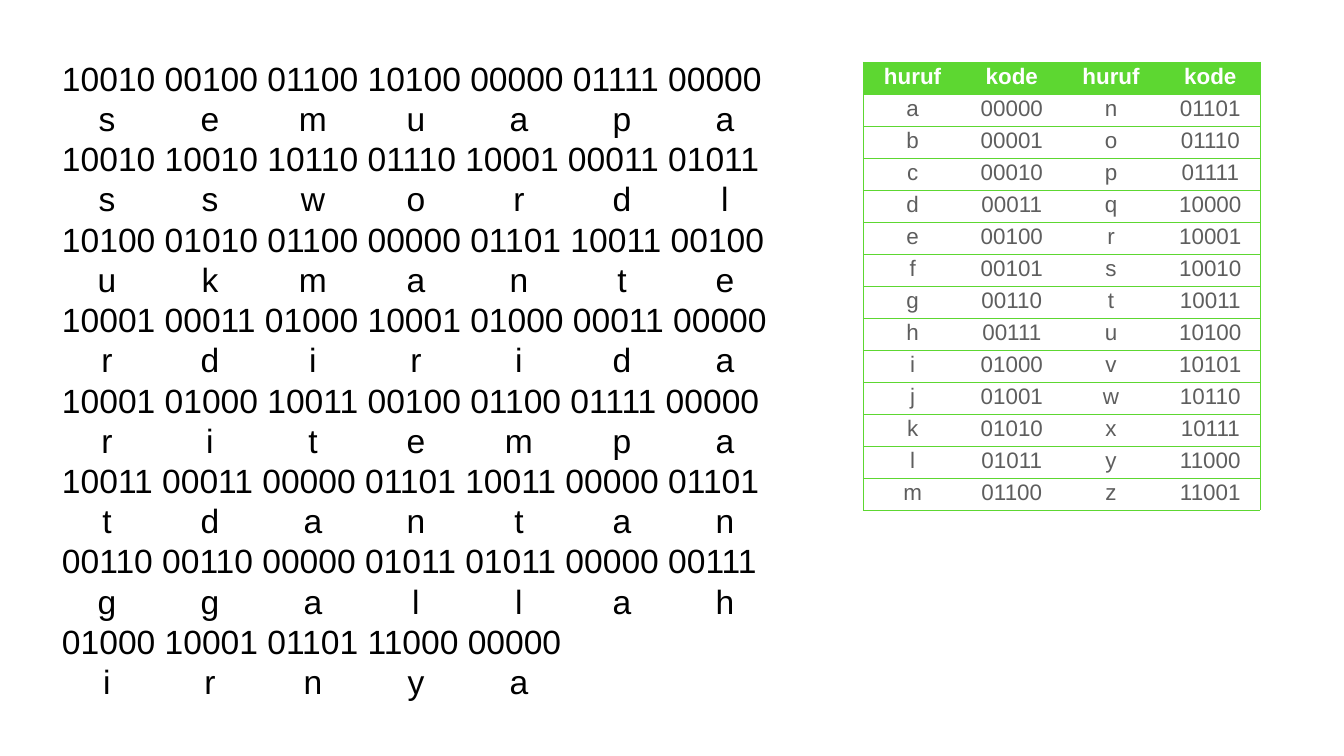
from lxml.etree import SubElement
from pptx import Presentation
from pptx.dml.color import RGBColor
from pptx.enum.text import MSO_ANCHOR, PP_ALIGN
from pptx.oxml.ns import qn
from pptx.util import Pt

PX = 914400 / 50.4
GREEN = "5DD731"
WHITE = "FFFFFF"
GREY = "5E5E5E"
BLACK = "000000"
ALPHABET = "abcdefghijklmnopqrstuvwxyz"
MESSAGE = ["semuapa", "sswordl", "ukmante", "rdirida",
           "ritempa", "tdantan", "ggallah", "irnya"]
LINE_PITCH = 57.5
FIRST_STOP = 45
STOP_PITCH = 103
ROW_HEIGHT = 32


def px(length):
    return round(length * PX)


def rgb(value):
    return RGBColor.from_string(value)


def code(letter):
    return format(ALPHABET.index(letter), "05b")


def add_text(paragraph, text, size, color, bold=False):
    run = paragraph.add_run()
    run.text = text
    run.font.name = "Arial"
    run.font.size = Pt(size)
    run.font.bold = bold
    run.font.color.rgb = rgb(color)


def set_centre_stops(paragraph, count):
    stops = SubElement(paragraph._p.get_or_add_pPr(), qn("a:tabLst"))
    for column in range(count):
        position = px(FIRST_STOP + column * STOP_PITCH)
        SubElement(stops, qn("a:tab"), pos=str(position), algn="ctr")


def add_decoded_message(slide, left, top, width, height):
    frame = slide.shapes.add_textbox(px(left), px(top), px(width), px(height)).text_frame
    frame.word_wrap = True
    frame.vertical_anchor = MSO_ANCHOR.MIDDLE
    frame.margin_left = frame.margin_right = frame.margin_bottom = px(3)
    frame.margin_top = px(7)
    lines = []
    for letters in MESSAGE:
        lines.append(" ".join(code(letter) for letter in letters))
        lines.append("".join("\t" + letter for letter in letters))
    for index, line in enumerate(lines):
        paragraph = frame.add_paragraph() if index else frame.paragraphs[0]
        paragraph.line_spacing = Pt(LINE_PITCH)
        if line.startswith("\t"):
            set_centre_stops(paragraph, line.count("\t"))
        add_text(paragraph, line, 48, BLACK)


def set_borders(cell, sides):
    properties = cell._tc.get_or_add_tcPr()
    for side in ("L", "R", "T", "B"):
        drawn = side in sides
        border = SubElement(properties, qn("a:ln" + side), w=str(Pt(0.75) if drawn else 0))
        if drawn:
            fill = SubElement(border, qn("a:solidFill"))
            SubElement(fill, qn("a:srgbClr"), val=GREEN)
        else:
            SubElement(border, qn("a:noFill"))


def fill_cell(cell, text, header, sides):
    set_borders(cell, sides)
    cell.fill.solid()
    cell.fill.fore_color.rgb = rgb(GREEN if header else WHITE)
    paragraph = cell.text_frame.paragraphs[0]
    paragraph.alignment = PP_ALIGN.CENTER
    add_text(paragraph, text, 32, WHITE if header else GREY, header)


def add_code_table(slide, left, top, width):
    half = len(ALPHABET) // 2
    rows = [["huruf", "kode"] * 2]
    for first, second in zip(ALPHABET[:half], ALPHABET[half:]):
        rows.append([first, code(first), second, code(second)])
    last = len(rows[0]) - 1
    table = slide.shapes.add_table(len(rows), last + 1, px(left), px(top), px(width),
                                   px(ROW_HEIGHT * len(rows))).table
    for row, values in enumerate(rows):
        table.rows[row].height = px(ROW_HEIGHT)
        for column, value in enumerate(values):
            sides = "TB" + "L" * (column == 0) + "R" * (column == last)
            fill_cell(table.cell(row, column), value, row == 0, sides)


def main():
    deck = Presentation()
    deck.slide_width, deck.slide_height = px(1344), px(756)
    slide = deck.slides.add_slide(deck.slide_layouts[6])
    add_decoded_message(slide, 59, 49, 786, 657)
    add_code_table(slide, 863, 62, 397)
    deck.save("out.pptx")


main()
